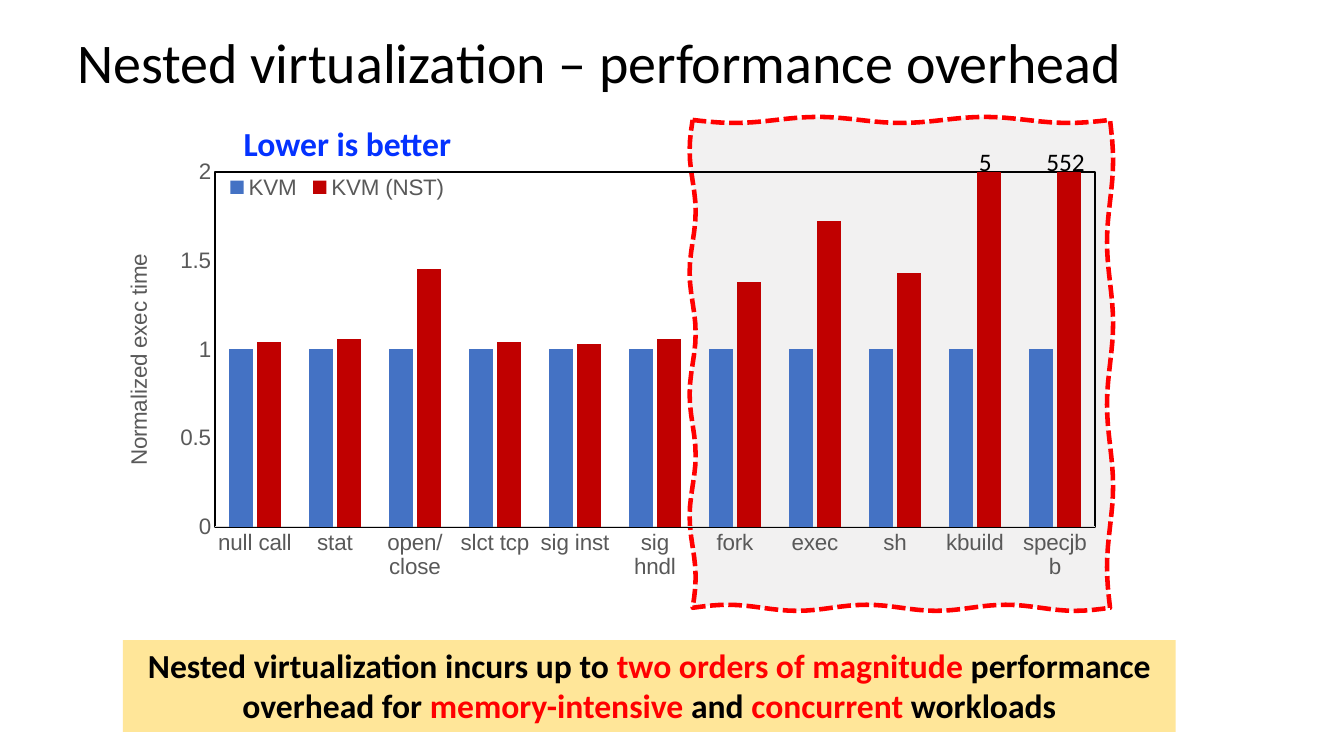
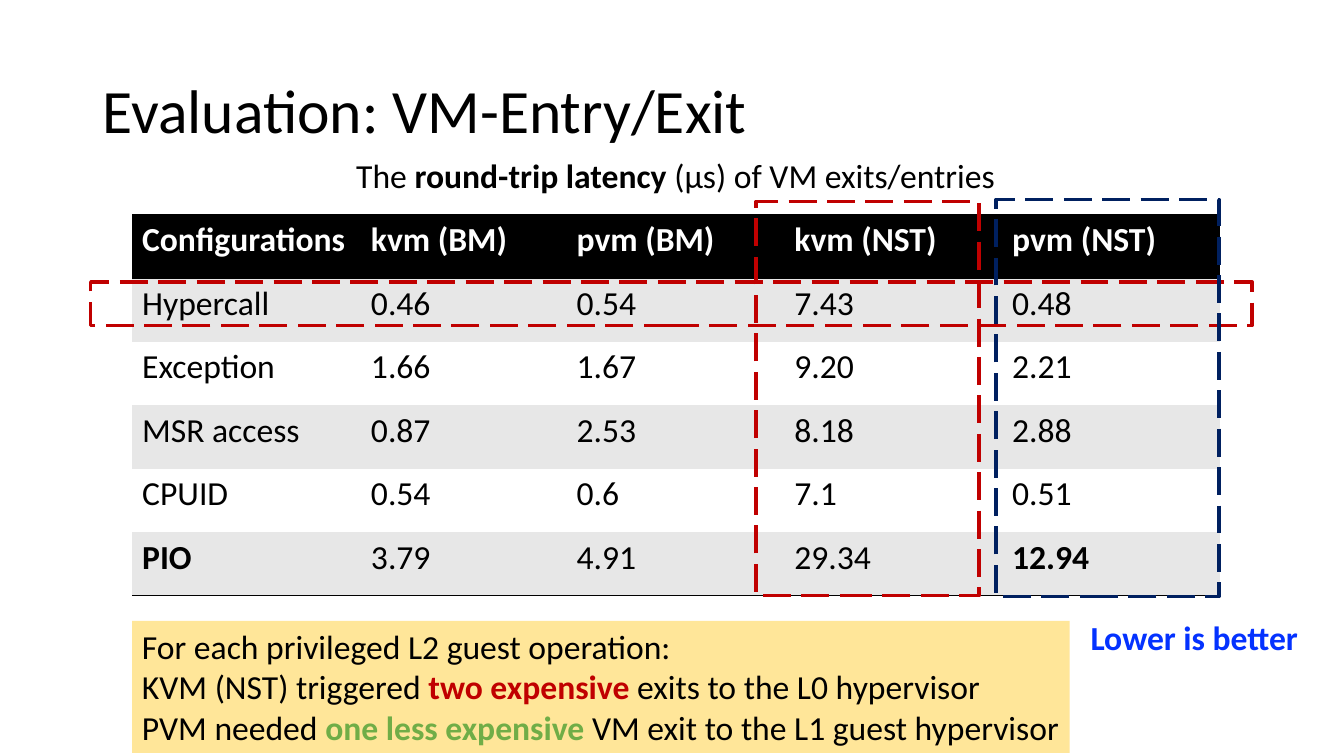
from math import pi, sin

from lxml.etree import SubElement
from pptx import Presentation
from pptx.chart.data import CategoryChartData
from pptx.dml.color import RGBColor
from pptx.enum.chart import XL_CHART_TYPE as CT, XL_LEGEND_POSITION as LP, XL_TICK_MARK as TM
from pptx.enum.dml import MSO_LINE
from pptx.enum.shapes import MSO_SHAPE
from pptx.enum.text import MSO_ANCHOR, PP_ALIGN
from pptx.oxml import parse_xml
from pptx.oxml.ns import nsdecls, qn
from pptx.util import Inches, Pt

BLACK, WHITE, GRAY = "000000", "FFFFFF", "595959"
RED, DARK_RED, NAVY, BLUE, GREEN = "FF0000", "C00000", "002060", "0432FF", "70AD47"
YELLOW, STRIPE = "FFE699", "E7E7E7"
CENTER, LEFT = PP_ALIGN.CENTER, PP_ALIGN.LEFT
PLAIN_TABLE = "{2D5ABB26-0587-4C30-8999-92F81FD0307C}"


def rgb(color):
    """Turn a hex string into a colour."""
    return RGBColor.from_string(color)


def set_font(font, size, color, bold=False, name="Calibri"):
    """Format a font."""
    font.name, font.size, font.bold = name, Pt(size), bold
    font.color.rgb = rgb(color)


def write(tf, *paras, size=24, color=BLACK, bold=False, align=LEFT, spacing=None):
    """Fill a text frame; a paragraph is a string or a list of strings and (text, format) pairs."""
    tf.word_wrap = True
    for i, para in enumerate(paras):
        p = tf.paragraphs[0] if i == 0 else tf.add_paragraph()
        p.alignment = align
        if spacing:
            p.line_spacing = spacing
        for run in [para] if isinstance(para, str) else para:
            text, fmt = (run, {}) if isinstance(run, str) else run
            r = p.add_run()
            r.text = text
            set_font(r.font, **{"size": size, "color": color, "bold": bold, **fmt})


def add_text(s, box, *paras, anchor=MSO_ANCHOR.TOP, **fmt):
    """Add a text box."""
    tf = s.shapes.add_textbox(*map(Inches, box)).text_frame
    tf.vertical_anchor = anchor
    write(tf, *paras, **fmt)


def add_title(s, box, text, **fmt):
    """Add a slide title."""
    add_text(s, box, text, anchor=MSO_ANCHOR.MIDDLE, **fmt)


def add_hint(s, box):
    """Add the blue reading hint."""
    add_text(s, box, "Lower is better", color=BLUE, bold=True, align=CENTER)


def add_rect(s, box):
    """Add a plain rectangle without fill or line."""
    sp = s.shapes.add_shape(MSO_SHAPE.RECTANGLE, *map(Inches, box))
    sp.shadow.inherit = False
    sp.fill.background()
    sp.line.fill.background()
    return sp


def add_takeaway(s, box, *paras, **fmt):
    """Add a yellow box with the conclusion."""
    sp = add_rect(s, box)
    sp.fill.solid()
    sp.fill.fore_color.rgb = rgb(YELLOW)
    sp.text_frame.vertical_anchor = MSO_ANCHOR.TOP
    write(sp.text_frame, *paras, **fmt)


def set_dash(sp, color, width, dash):
    """Give a shape a dashed outline."""
    sp.line.color.rgb = rgb(color)
    sp.line.width = Pt(width)
    sp.line.dash_style = dash


def add_frame(s, box, color):
    """Add a dashed frame."""
    set_dash(add_rect(s, box), color, 2.5, MSO_LINE.LONG_DASH)


def add_wavy_area(s, x, y, w, h, swing=0.03, steps=48):
    """Add a translucent area with a wavy dashed outline."""
    points = []
    for x0, y0, dx, dy, waves in ((x, y, w, 0, 2.5), (x + w, y, 0, h, 3),
                                  (x + w, y + h, -w, 0, 3), (x, y + h, 0, -h, 4)):
        for i in range(steps):
            t = i / steps
            off = swing * sin(2 * pi * waves * t)
            points.append((Inches(x0 + dx * t + (off if dy else 0)),
                           Inches(y0 + dy * t + (off if dx else 0))))
    builder = s.shapes.build_freeform(*points[0])
    builder.add_line_segments(points[1:], close=True)
    sp = builder.convert_to_shape()
    sp.shadow.inherit = False
    sp.fill.solid()
    sp.fill.fore_color.rgb = rgb("D0CECE")
    for clr in sp.element.spPr.find(qn("a:solidFill")):
        SubElement(clr, qn("a:alpha")).set("val", "27000")
    set_dash(sp, RED, 3.25, MSO_LINE.SQUARE_DOT)


def set_layout(parent, index, target="", **place):
    """Place a chart part by fractions of the chart."""
    for old in parent.findall(qn("c:layout")):
        parent.remove(old)
    values = "".join(f'<c:{k} val="{v}"/>' for k, v in place.items())
    parent.insert(index, parse_xml(
        f'<c:layout {nsdecls("c")}><c:manualLayout>{target}<c:xMode val="edge"/>'
        f'<c:yMode val="edge"/>{values}</c:manualLayout></c:layout>'))


def set_rotation(part, angle):
    """Turn the text of a chart part."""
    for body in part.iter(qn("a:bodyPr")):
        body.set("rot", str(angle * 60000))
        body.set("vert", "horz")


def chart_fill(line):
    """Return chart shape properties without fill."""
    return parse_xml(f'<c:spPr {nsdecls("c", "a")}><a:noFill/>{line}</c:spPr>')


def add_overhead_chart(s, box, cats, series):
    """Add the clustered column chart."""
    data = CategoryChartData()
    data.categories = cats
    for name, values, _ in series:
        data.add_series(name, values)
    chart = s.shapes.add_chart(CT.COLUMN_CLUSTERED, *map(Inches, box), data).chart
    set_font(chart.font, 16, GRAY, name="Arial")
    chart.has_title = False
    chart.has_legend = True
    chart.legend.position = LP.BOTTOM
    chart.legend.include_in_layout = False
    set_layout(chart.legend._element, 1, x=0.12, y=0.04, w=0.23, h=0.06)

    plot = chart.plots[0]
    plot.gap_width, plot.overlap, plot.vary_by_categories = 119, -17, False
    for ser, (_, _, color) in zip(plot.series, series):
        ser.format.fill.solid()
        ser.format.fill.fore_color.rgb = rgb(color)

    cat_ax, val_ax = chart.category_axis, chart.value_axis
    for ax in (cat_ax, val_ax):
        ax.major_tick_mark = ax.minor_tick_mark = TM.NONE
        ax.has_major_gridlines = False
        set_font(ax.tick_labels.font, 16, GRAY, name="Arial")
    set_rotation(cat_ax._element, 0)
    cat_ax.format.line.color.rgb = rgb("D9D9D9")
    cat_ax.format.line.width = Pt(0.75)
    val_ax.format.line.fill.background()
    val_ax.minimum_scale, val_ax.maximum_scale, val_ax.major_unit = 0, 2, 0.5
    write(val_ax.axis_title.text_frame,
          [("Normalized exec time", {"name": "Arial"})], size=16, color=GRAY, align=CENTER)
    title = val_ax.axis_title._element
    set_rotation(title, -90)
    set_layout(title, 1, x=0.02, y=0.195)

    node = chart._chartSpace.find(qn("c:chart"))
    area = node.find(qn("c:plotArea"))
    set_layout(area, 0, '<c:layoutTarget val="inner"/>', x=0.114, y=0.039, w=0.871, h=0.709)
    area.append(chart_fill(f'<a:ln w="19050"><a:solidFill><a:srgbClr val="{BLACK}"/>'
                           '</a:solidFill></a:ln>'))
    node.addnext(chart_fill("<a:ln><a:noFill/></a:ln>"))


def set_border(cell, sides):
    """Draw thin black borders on the named sides of a cell."""
    tc_pr = cell._tc.get_or_add_tcPr()
    for i, side in enumerate(sides):
        tc_pr.insert(i, parse_xml(
            f'<a:ln{side} {nsdecls("a")} w="12700"><a:solidFill>'
            f'<a:srgbClr val="{BLACK}"/></a:solidFill></a:ln{side}>'))


def add_latency_table(s, x, y, widths, row_h, rows, bold_cells):
    """Add the striped table with a black header row."""
    size = (sum(widths), row_h * len(rows))
    table = s.shapes.add_table(len(rows), len(widths), *map(Inches, (x, y, *size))).table
    for style in table._tbl.iter(qn("a:tableStyleId")):
        style.text = PLAIN_TABLE
    for col, width in zip(table.columns, widths):
        col.width = Inches(width)
    for i, row in enumerate(rows):
        table.rows[i].height = Inches(row_h)
        head, last = i == 0, i == len(rows) - 1
        for j, text in enumerate(row):
            cell = table.cell(i, j)
            write(cell.text_frame, text, color=WHITE if head else BLACK,
                  bold=head or text in bold_cells)
            cell.fill.solid()
            cell.fill.fore_color.rgb = rgb(BLACK if head else STRIPE if i % 2 else WHITE)
            set_border(cell, "TB" if head else "B" if last else "")


def overhead_slide(prs):
    """Build the slide on performance overhead."""
    s = prs.slides.add_slide(prs.slide_layouts[6])
    add_hint(s, (1.6, 1.17, 3.69, 0.5))
    add_wavy_area(s, 6.87, 1.19, 4.14, 4.84)
    add_title(s, (0.67, 0.22, 12.66, 0.77), "Nested virtualization – performance overhead", size=40)
    red = {"color": RED}
    add_takeaway(s, (1.22, 6.35, 10.44, 0.91),
                 ["Nested virtualization incurs up to ", ("two orders of magnitude ", red),
                  "performance overhead for ", ("memory-intensive ", red), "and ",
                  ("concurrent ", red), "workloads"], bold=True, align=CENTER)
    cats = ["null call", "stat", "open/close", "slct tcp", "sig inst", "sig hndl",
            "fork", "exec", "sh", "kbuild", "specjbb"]
    nested = [1.04, 1.06, 1.45, 1.04, 1.03, 1.06, 1.38, 1.72, 1.43, 2, 2]
    add_overhead_chart(s, (0.99, 1.51, 10.02, 4.97), cats,
                       [("KVM", [1] * len(cats), "4472C4"), ("KVM (NST)", nested, DARK_RED)])
    for x, value in ((9.61, "5"), (10.28, "552")):
        add_text(s, (x, 1.4, 0.63, 0.4), value, size=18)


def evaluation_slide(prs):
    """Build the slide on entry and exit latency."""
    s = prs.slides.add_slide(prs.slide_layouts[6])
    add_text(s, (1.31, 1.49, 10.78, 0.5),
             ["The ", ("round-trip latency ", {"bold": True}), "(μs) of VM exits/entries"],
             align=CENTER)
    rows = [("Configurations", "kvm (BM)", "pvm (BM)", "kvm (NST)", "pvm (NST)"),
            ("Hypercall", "0.46", "0.54", "7.43", "0.48"),
            ("Exception", "1.66", "1.67", "9.20", "2.21"),
            ("MSR access", "0.87", "2.53", "8.18", "2.88"),
            ("CPUID", "0.54", "0.6", "7.1", "0.51"),
            ("PIO", "3.79", "4.91", "29.34", "12.94")]
    add_latency_table(s, 1.31, 2.13, (2.27, 2.04, 2.16, 2.16, 2.16), 0.63, rows, ("PIO", "12.94"))
    add_frame(s, (0.9, 2.8, 11.52, 0.43), DARK_RED)
    add_frame(s, (9.88, 1.98, 2.21, 3.94), NAVY)
    add_frame(s, (7.5, 2, 2.21, 3.91), DARK_RED)
    add_title(s, (0.92, 0.4, 11.5, 1.45), "Evaluation: VM-Entry/Exit", size=44, spacing=0.9)
    add_hint(s, (10.62, 6.07, 2.45, 0.5))
    add_takeaway(s, (1.31, 6.16, 9.3, 1.31),
                 "For each privileged L2 guest operation:",
                 ["KVM (NST) triggered ", ("two expensive ", {"color": DARK_RED, "bold": True}),
                  "exits to the L0 hypervisor"],
                 ["PVM needed ", ("one less expensive ", {"color": GREEN, "bold": True}),
                  "VM exit to the L1 guest hypervisor"])


def main():
    """Build and save the presentation."""
    prs = Presentation()
    prs.slide_width, prs.slide_height = Inches(13.33), Inches(7.5)
    overhead_slide(prs)
    evaluation_slide(prs)
    prs.save("out.pptx")


if __name__ == "__main__":
    main()
